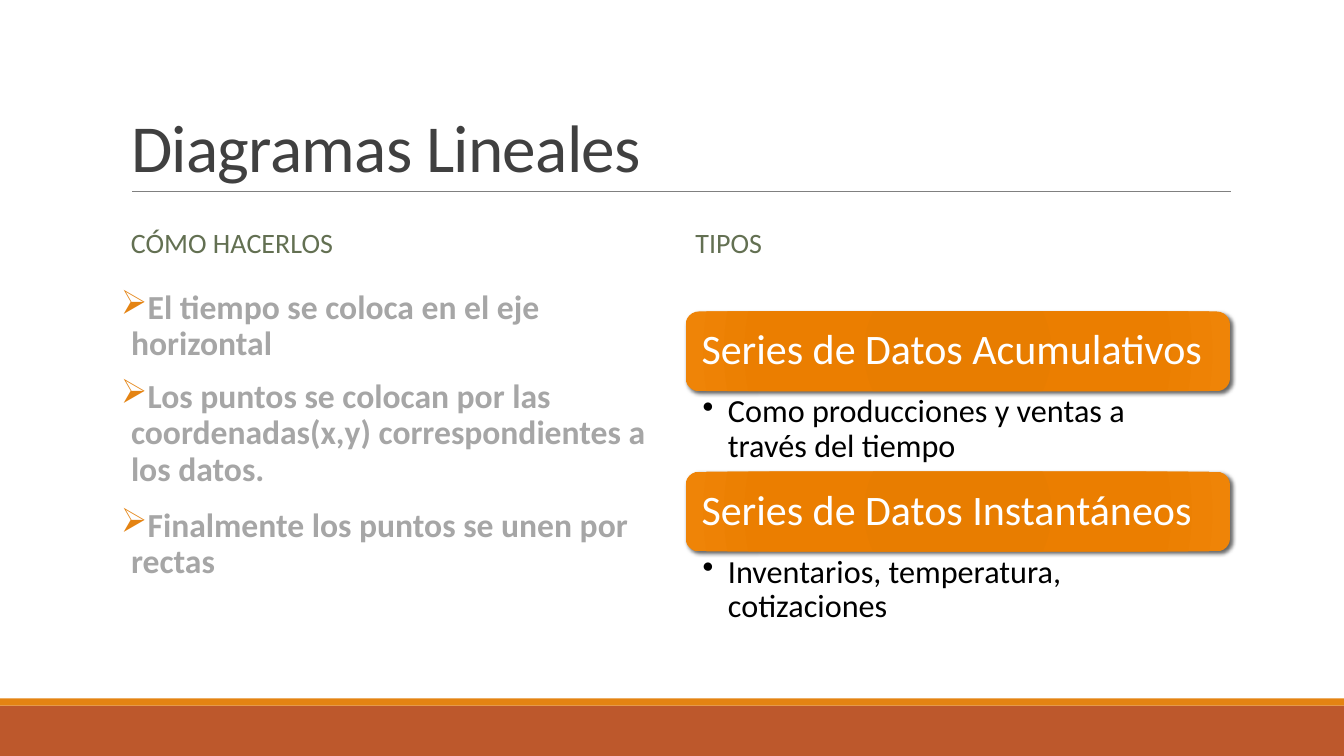
import pptx
import pptx.dml.color
import pptx.enum.shapes
import pptx.enum.text
import pptx.oxml
import pptx.oxml.ns
import pptx.util

Inches = pptx.util.Inches
Pt = pptx.util.Pt
RGBColor = pptx.dml.color.RGBColor
Anchor = pptx.enum.text.MSO_ANCHOR
Preset = pptx.enum.shapes.MSO_SHAPE

RUST = RGBColor(0xBD, 0x58, 0x2C)
ORANGE = RGBColor(0xE4, 0x83, 0x12)
RULE_GRAY = RGBColor(0x80, 0x80, 0x80)
TITLE_GRAY = RGBColor(0x40, 0x40, 0x40)
HEADING_GREEN = RGBColor(0x63, 0x70, 0x52)
STEP_GRAY = RGBColor(0xA6, 0xA6, 0xA6)
WHITE = RGBColor(0xFF, 0xFF, 0xFF)
BLACK = RGBColor(0x00, 0x00, 0x00)
BANNER_STOPS = [
    (0, RGBColor(0xE5, 0x7B, 0x00)),
    (34, RGBColor(0xE8, 0x7D, 0x00)),
    (70, RGBColor(0xEB, 0x7E, 0x00)),
    (100, RGBColor(0xEF, 0x84, 0x07)),
]
NAMESPACE = pptx.oxml.ns.nsdecls("a")

STEPS = [
    "El tiempo se coloca en el eje horizontal",
    "Los puntos se colocan por las coordenadas(x,y) correspondientes a los datos.",
    "Finalmente los puntos se unen por rectas",
]
SERIES = [
    ("Series de Datos Acumulativos", "Como producciones y ventas a través del tiempo"),
    ("Series de Datos Instantáneos", "Inventarios, temperatura, cotizaciones"),
]


def add_xml(parent, markup):
    """Append a DrawingML element, given without its namespace, to parent."""
    tag, rest = markup.split(" ", 1)
    parent.append(pptx.oxml.parse_xml(f"{tag} {NAMESPACE} {rest}"))


def add_bullet(paragraph, char, color, indent):
    """Give a paragraph a hanging bullet."""
    properties = paragraph._p.get_or_add_pPr()
    properties.set("marL", str(Inches(indent)))
    properties.set("indent", str(-Inches(indent)))
    add_xml(properties, f'<a:buClr ><a:srgbClr val="{color}"/></a:buClr>')
    add_xml(properties, f'<a:buChar char="{char}"/>')


def write(frame, texts, size, color, bold=False, anchor=Anchor.TOP,
          insets=(0.1, 0.05, 0.1, 0.05), bullet=None, spacing=0.9):
    """Fill a text frame with left-aligned paragraphs of one style."""
    frame.word_wrap = True
    frame.auto_size = pptx.enum.text.MSO_AUTO_SIZE.NONE
    frame.vertical_anchor = anchor
    frame.margin_left, frame.margin_top, frame.margin_right, frame.margin_bottom = map(Inches, insets)
    for number, text in enumerate(texts):
        paragraph = frame.add_paragraph() if number else frame.paragraphs[0]
        paragraph.text = text
        if bullet:
            add_bullet(paragraph, *bullet)
        paragraph.alignment = pptx.enum.text.PP_ALIGN.LEFT
        paragraph.line_spacing = spacing
        if number:
            paragraph.space_before = Pt(12)
            paragraph.space_after = Pt(2)
        paragraph.font.name = "Calibri"
        paragraph.font.size = Pt(size)
        paragraph.font.bold = bold
        paragraph.font.color.rgb = color


def add_text(slide, box, texts, size, color, **style):
    """Add a text box in the given box."""
    write(slide.shapes.add_textbox(*map(Inches, box)).text_frame, texts, size, color, **style)


def add_footer(slide, left, top, width, height):
    """Draw the rust band with its orange strip on top."""
    strip = 0.07
    for y, band_height, color in ((top + strip, height - strip, RUST), (top, strip, ORANGE)):
        band = slide.shapes.add_shape(Preset.RECTANGLE, *map(Inches, (left, y, width, band_height)))
        band.shadow.inherit = False
        band.fill.solid()
        band.fill.fore_color.rgb = color
        band.line.fill.background()


def add_title(slide, left, top, width, height):
    """Place the title and the thin rule along its bottom."""
    title = slide.shapes.title
    title.left, title.top, title.width, title.height = map(Inches, (left, top, width, height))
    write(title.text_frame, ["Diagramas Lineales"], 48, TITLE_GRAY, anchor=Anchor.BOTTOM, spacing=0.85)
    title.text_frame.paragraphs[0].runs[0]._r.get_or_add_rPr().set("spc", "-50")
    bottom = top + height
    rule = slide.shapes.add_connector(
        pptx.enum.shapes.MSO_CONNECTOR.STRAIGHT,
        *map(Inches, (left + 0.11, bottom, left + width + 0.01, bottom)))
    rule.line.color.rgb = RULE_GRAY
    rule.line.width = Pt(0.5)
    add_xml(rule._element.spPr, "<a:effectLst />")


def add_heading(slide, left, top, width, text):
    """Write a column heading and return the top of the space below it."""
    height = 0.81
    add_text(slide, (left, top, width, height), [text], 20, HEADING_GREEN, anchor=Anchor.MIDDLE)
    return top + height


def add_steps(slide, left, top, width, height):
    """Fill the column that tells how to make the diagrams."""
    body_top = add_heading(slide, left, top, width, "CÓMO HACERLOS")
    add_text(slide, (left, body_top, width, top + height - body_top), STEPS, 24, STEP_GRAY,
             bold=True, insets=(0, 0.05, 0, 0.05), bullet=("➢", ORANGE, 0.1))


def add_banner(slide, box, text):
    """Draw a rounded banner with a radial gradient and a soft shadow."""
    banner = slide.shapes.add_shape(Preset.ROUNDED_RECTANGLE, *map(Inches, box))
    banner.line.fill.background()
    banner.fill.gradient()
    properties = banner._element.spPr
    gradient = properties.find(pptx.oxml.ns.qn("a:gradFill"))
    for part in list(gradient):
        gradient.remove(part)
    stops = "".join(f'<a:gs pos="{position * 1000}"><a:srgbClr val="{color}"/></a:gs>'
                    for position, color in BANNER_STOPS)
    add_xml(gradient, f"<a:gsLst >{stops}</a:gsLst>")
    add_xml(gradient, '<a:path path="circle"><a:fillToRect l="100000" t="100000" '
                      'r="100000" b="100000"/></a:path>')
    banner.shadow.inherit = False
    add_xml(properties.find(pptx.oxml.ns.qn("a:effectLst")),
            f'<a:outerShdw blurRad="{Pt(3)}" dist="{Pt(2)}" dir="2700000" rotWithShape="0">'
            '<a:srgbClr val="000000"><a:alpha val="60000"/></a:srgbClr></a:outerShdw>')
    write(banner.text_frame, [text], 30, WHITE, anchor=Anchor.MIDDLE, insets=(0.12,) * 4)


def add_types(slide, left, top, width):
    """Fill the column of series types, each a banner over its examples."""
    list_top = add_heading(slide, left, top, width, "TIPOS") + 0.26
    banner_height, examples_height = 0.79, 0.8
    for number, (series, examples) in enumerate(SERIES):
        y = list_top + number * (banner_height + examples_height)
        add_banner(slide, (left, y, width, banner_height), series)
        add_text(slide, (left, y + banner_height, width, examples_height), [examples], 23, BLACK,
                 insets=(0.17, 0.04, 0.23, 0.04), bullet=("•", BLACK, 0.25))


def main():
    """Build the slide and save it."""
    presentation = pptx.Presentation()
    presentation.slide_width = Inches(13.33)
    presentation.slide_height = Inches(7.5)
    slide = presentation.slides.add_slide(presentation.slide_layouts.get_by_name("Title Only"))
    add_footer(slide, 0, 6.93, 13.33, 0.57)
    add_title(slide, 1.2, 0.31, 11, 1.59)
    add_steps(slide, 1.2, 2.02, 5.4, 4.49)
    add_types(slide, 6.8, 2.02, 5.4)
    presentation.save("out.pptx")


if __name__ == "__main__":
    main()
